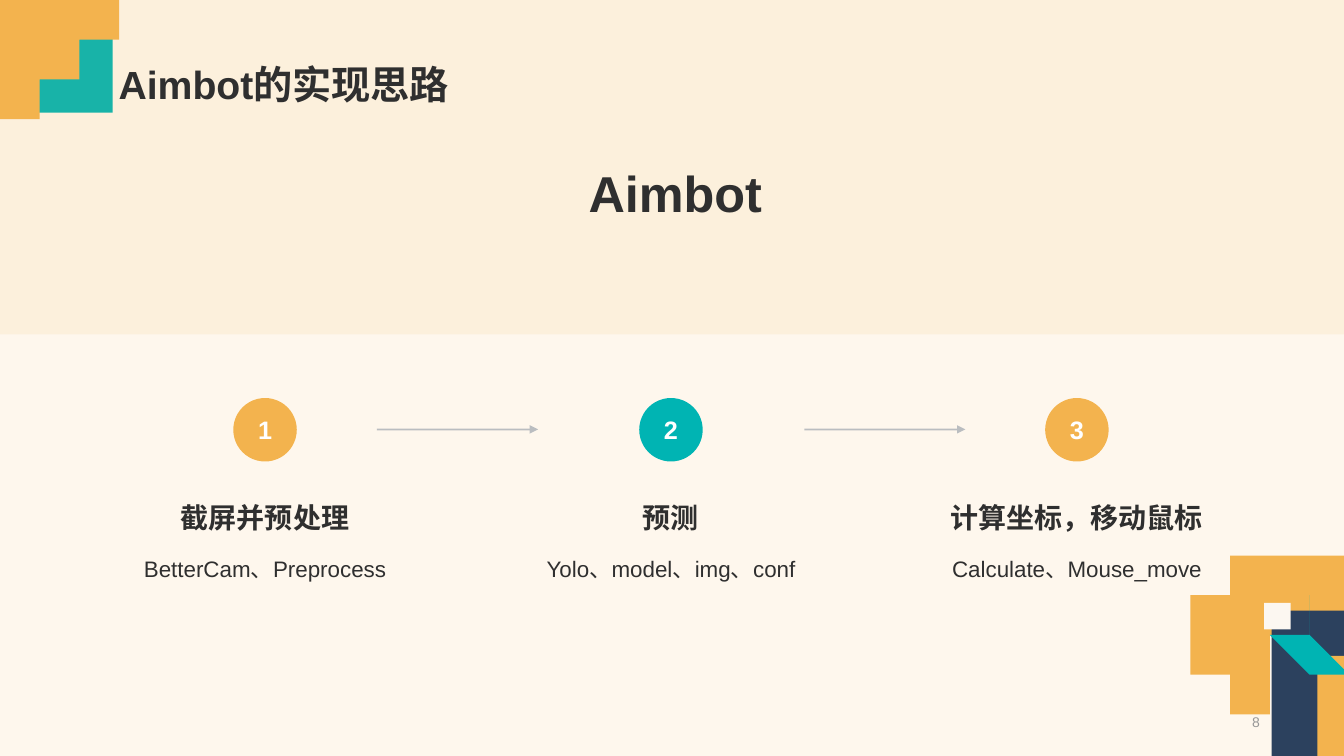
import math

from lxml import etree
from pptx import Presentation
from pptx import util as u
from pptx.dml.color import RGBColor
from pptx.enum import lang, shapes, text
from pptx.oxml.ns import qn

ORANGE, TEAL, NAVY = "F3B34E", "00B4B3", "2C415E"
INK, WHITE, GREY = "2F2F2F", "FFFFFF", "979797"
FONT = "Arial"
WIDTH, HEIGHT = 33.87, 19.05
LEFT, CENTER, RIGHT = text.PP_ALIGN.LEFT, text.PP_ALIGN.CENTER, text.PP_ALIGN.RIGHT
TOP, MIDDLE, BOTTOM = (text.MSO_ANCHOR.TOP, text.MSO_ANCHOR.MIDDLE,
                       text.MSO_ANCHOR.BOTTOM)
STEPS = [
    ("截屏并预处理", "BetterCam、Preprocess", ORANGE),
    ("预测", "Yolo、model、img、conf", TEAL),
    ("计算坐标，移动鼠标", "Calculate、Mouse_move", ORANGE),
]


def paint(fill, color, alpha=None):
    """Fill with a hex colour; alpha is the opacity in percent."""
    fill.solid()
    fill.fore_color.rgb = RGBColor.from_string(color)
    if alpha is not None:
        clr = fill._xPr.find(f".//{qn('a:srgbClr')}")
        etree.SubElement(clr, qn("a:alpha"), val=str(alpha * 1000))


def finish(sp, color, alpha=None):
    paint(sp.fill, color, alpha)
    sp.line.fill.background()
    sp.shadow.inherit = False
    return sp


def add_shape(s, kind, x, y, w, h, color, alpha=None):
    sp = s.shapes.add_shape(kind, u.Cm(x), u.Cm(y), u.Cm(w), u.Cm(h))
    return finish(sp, color, alpha)


def add_rect(s, x, y, w, h, color, alpha=None):
    return add_shape(s, shapes.MSO_SHAPE.RECTANGLE, x, y, w, h, color, alpha)


def add_outline(s, points, color):
    builder = s.shapes.build_freeform(*points[0], scale=u.Cm(1))
    builder.add_line_segments(points[1:], close=True)
    return finish(builder.convert_to_shape(), color)


def arc(cx, cy, radius, start, end, count=40):
    """Points on a circle between two angles in degrees, clockwise."""
    angles = [math.radians(start + (end - start) * i / count) for i in range(count + 1)]
    return [(cx + radius * math.cos(a), cy + radius * math.sin(a)) for a in angles]


def write(sp, words, size, color=INK, bold=True, align=CENTER, anchor=TOP, spacing=1):
    tf = sp.text_frame
    tf.word_wrap = True
    tf.vertical_anchor = anchor
    p = tf.paragraphs[0]
    p.text = words
    p.alignment = align
    p.line_spacing = spacing
    r = p.runs[0]
    r.font.name = FONT
    r.font.size = u.Pt(size)
    r.font.bold = bold
    r.font.language_id = lang.MSO_LANGUAGE_ID.SIMPLIFIED_CHINESE
    paint(r.font.fill, color)
    etree.SubElement(r.font._element, qn("a:ea"), typeface=FONT)


def add_text(s, x, y, w, h, words, size, **style):
    sp = s.shapes.add_textbox(u.Cm(x), u.Cm(y), u.Cm(w), u.Cm(h))
    write(sp, words, size, **style)


def add_arrow(s, x, y, length):
    cn = s.shapes.add_connector(shapes.MSO_CONNECTOR.STRAIGHT,
                                u.Cm(x), u.Cm(y), u.Cm(x + length), u.Cm(y))
    cn.line.width = u.Pt(1.25)
    paint(cn.line.fill, "778495", 50)
    etree.SubElement(cn.line._get_or_add_ln(), qn("a:tailEnd"), type="triangle")
    etree.SubElement(cn._element.spPr, qn("a:effectLst"))


def add_top_corner(s):
    add_rect(s, 0, 0, 2.84, 2.84, TEAL)
    add_outline(s, [(0, 0)] + arc(0, 0, 2.73, 0, 90), ORANGE)


def add_bottom_corner(s):
    cx, cy, radius = 32.05, 16.04, 1.82
    bracket = arc(cx, cy, radius, 90, 270)
    add_outline(s, bracket + [(WIDTH, cy - radius), (WIDTH, cy), (cx, cy)], ORANGE)
    add_rect(s, cx, 15.39, WIDTH - cx, HEIGHT - 15.39, NAVY)

    unit, x, y = 0.67, 31.86, 15.19
    post_top = y + 2 * unit
    add_rect(s, WIDTH - unit, post_top, unit, HEIGHT - post_top, ORANGE)
    ribbon = [(1, 2), (2, 3), (2, 2), (3, 2), (2, 1), (1, 0), (1, 1), (0, 1)]
    add_outline(s, [(x + i * unit, y + j * unit) for i, j in ribbon], TEAL)
    add_rect(s, x, y, unit, unit, "FCF7F1")


def add_step(s, number, cx, title, detail, color):
    size, title_w, detail_w = 1.6, 9.7, 8.86
    sp = add_shape(s, shapes.MSO_SHAPE.OVAL, cx - size / 2, 10.03, size, size, color)
    write(sp, str(number), 18, color=WHITE, anchor=MIDDLE)
    add_text(s, cx - title_w / 2, 12.47, title_w, 1.12, title, 20, anchor=BOTTOM)
    add_text(s, cx - detail_w / 2, 13.67, detail_w, 1.07, detail, 16,
             bold=False, spacing=1.3)


def main():
    prs = Presentation()
    prs.slide_width, prs.slide_height = u.Cm(WIDTH), u.Cm(HEIGHT)
    s = prs.slides.add_slide(prs.slide_layouts[6])
    paint(s.background.fill, "FEF7ED")

    add_top_corner(s)
    add_bottom_corner(s)
    add_rect(s, 0, 0, WIDTH, 8.43, ORANGE, 10)
    add_text(s, 1.83, 3.96, 30.38, 1.8, "Aimbot", 36)
    for i, (title, detail, color) in enumerate(STEPS):
        add_step(s, i + 1, 6.68 + 10.23 * i, title, detail, color)
    for i in range(len(STEPS) - 1):
        add_arrow(s, 9.5 + 10.77 * i, 10.82, 4.06)
    add_text(s, 2.74, 0, 29.26, 2.84, "Aimbot的实现思路", 28,
             align=LEFT, anchor=BOTTOM, spacing=0.9)
    add_text(s, 24.61, 17.88, 7.39, 0.61, "8", 10, color=GREY, bold=False,
             align=RIGHT, anchor=MIDDLE)
    prs.save("out.pptx")


if __name__ == "__main__":
    main()
